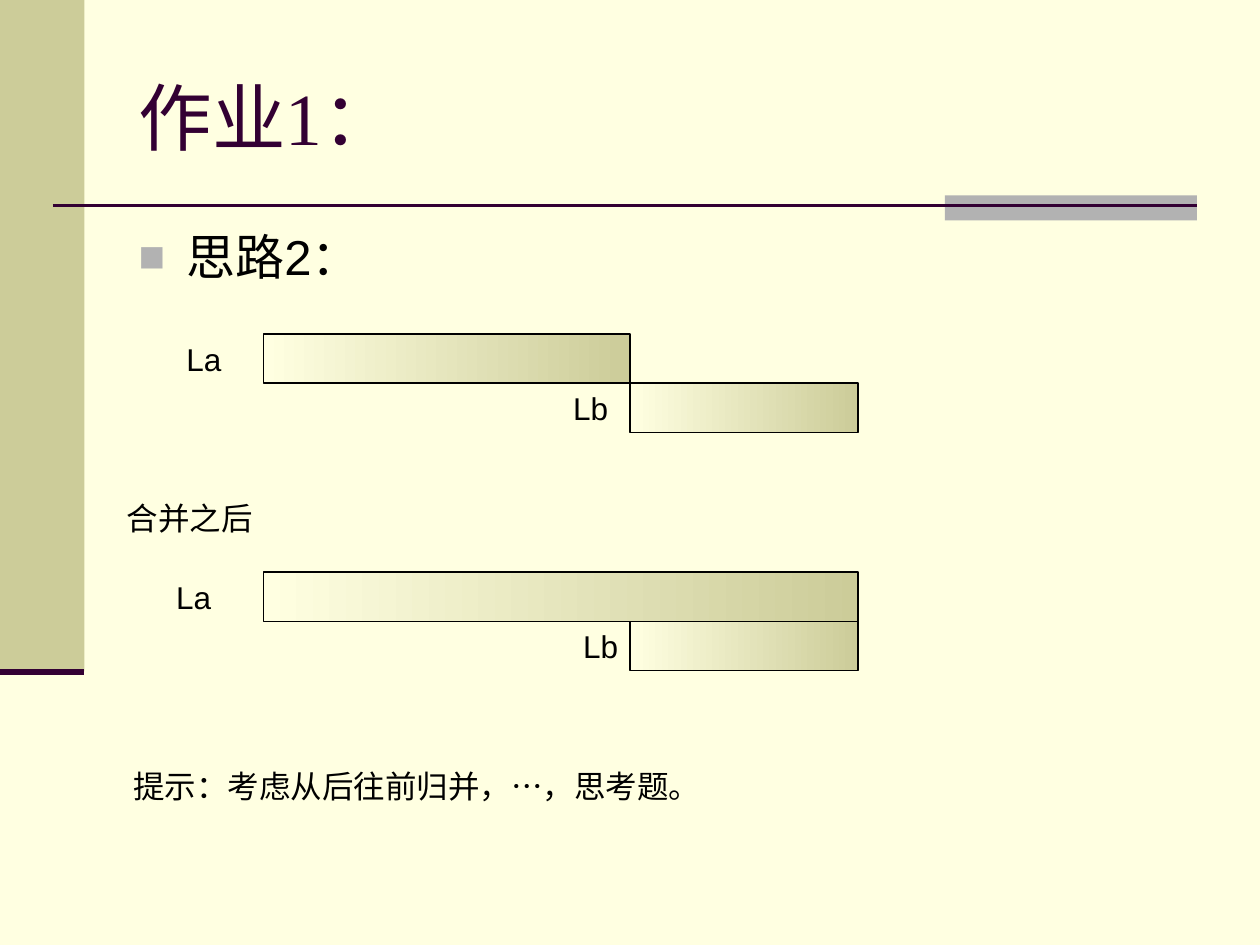
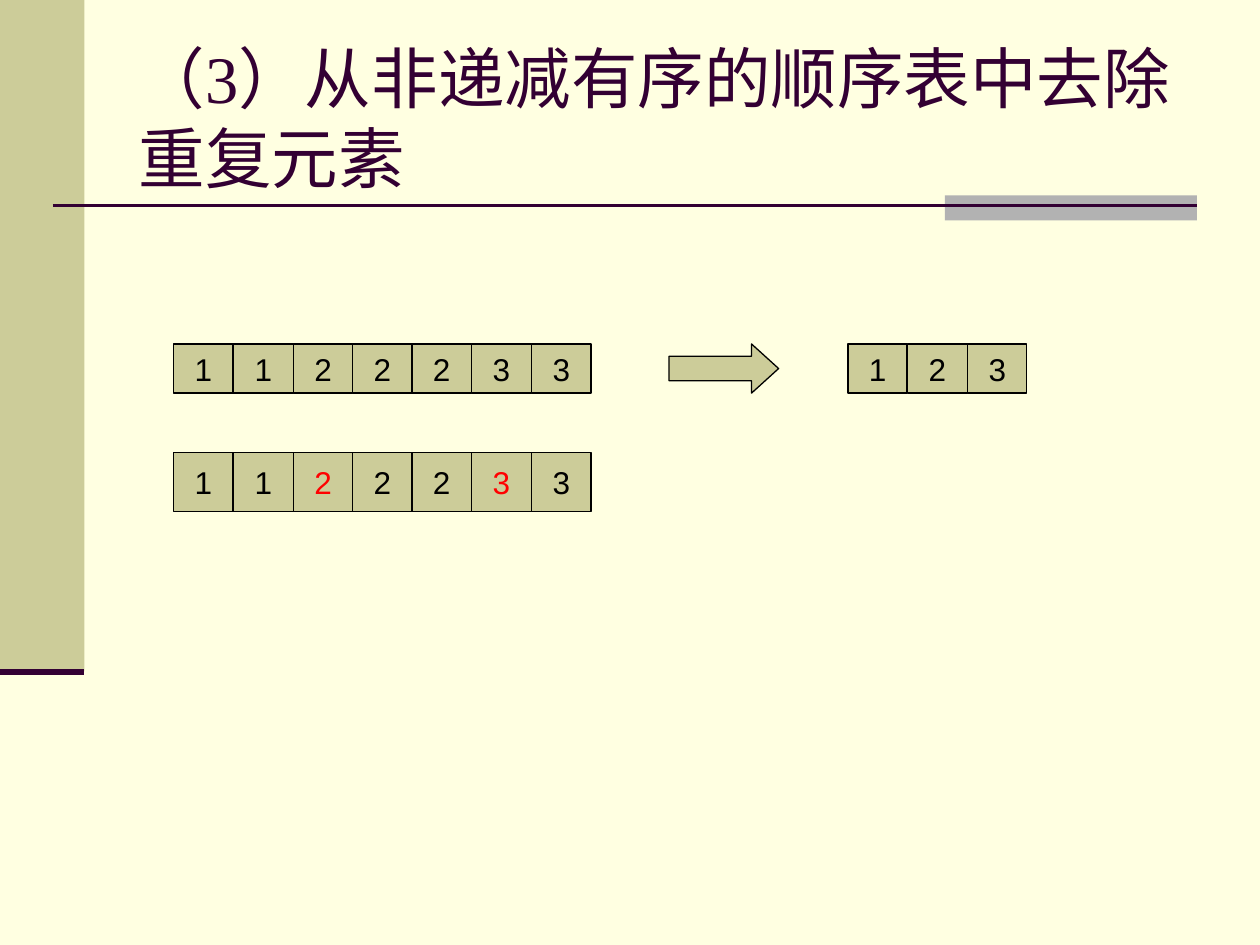
"""Build two slides on merging and de-duplicating ordered sequential lists."""
import dataclasses
import typing

import lxml.etree
import pptx
import pptx.dml.color
import pptx.enum.dml
import pptx.enum.shapes
import pptx.enum.text
import pptx.oxml
import pptx.oxml.ns
import pptx.util

RGBColor = pptx.dml.color.RGBColor
SHAPE = pptx.enum.shapes.MSO_SHAPE
ALIGN = pptx.enum.text.PP_ALIGN
ANCHOR = pptx.enum.text.MSO_ANCHOR
AUTO_SIZE = pptx.enum.text.MSO_AUTO_SIZE

CREAM = RGBColor(0xFF, 0xFF, 0xE1)
OLIVE = RGBColor(0xCC, 0xCC, 0x99)
GREY = RGBColor(0xB2, 0xB2, 0xB2)
PLUM = RGBColor(0x33, 0x00, 0x33)
BLACK = RGBColor(0x00, 0x00, 0x00)
RED = RGBColor(0xFF, 0x00, 0x00)

EMU_PER_PX = 9144
TITLE_FONT = "Times New Roman"
BODY_FONT = "Arial"
TEXT_SIZE = 18
BAR_HEIGHT = 39


@dataclasses.dataclass(frozen=True)
class Area:
    left: int
    top: int
    width: int
    height: int

    def emu(self) -> tuple[int, ...]:
        return tuple(px(length) for length in dataclasses.astuple(self))


@dataclasses.dataclass(frozen=True)
class Rule:
    left: int
    right: int
    top: int
    weight: float


@dataclasses.dataclass(frozen=True)
class Label:
    text: str
    area: Area


@dataclasses.dataclass(frozen=True)
class CellRow:
    values: str
    area: Area
    marked: tuple[int, ...] = ()


TITLE_AREA = Area(100, 30, 850, 125)
BODY_AREA = Area(100, 175, 850, 495)
BANDS = ((Area(0, 0, 67, 533), OLIVE), (Area(750, 155, 200, 20), GREY))
RULES = (Rule(42, 950, 163, 1.5), Rule(0, 67, 533, 3.5))

LIST_BARS = (
    Area(209, 265, 291, BAR_HEIGHT),
    Area(500, 304, 181, BAR_HEIGHT),
    Area(209, 454, 472, BAR_HEIGHT),
    Area(500, 493, 181, BAR_HEIGHT),
)
LABELS = (
    Label("La", Area(138, 265, 48, 40)),
    Label("Lb", Area(445, 304, 48, 40)),
    Label("La", Area(130, 454, 48, 40)),
    Label("Lb", Area(453, 493, 48, 40)),
    Label("合并之后", Area(91, 391, 120, 40)),
    Label("提示：考虑从后往前归并，…，思考题。", Area(96, 604, 470, 40)),
)
CELL_ROWS = (
    CellRow("1122233", Area(138, 273, 331, 39)),
    CellRow("123", Area(673, 273, 142, 39)),
    CellRow("1122233", Area(138, 359, 331, 47), marked=(2, 5)),
)
ARROW_AREA = Area(531, 273, 87, 39)


def px(length: float) -> int:
    return round(length * EMU_PER_PX)


def add_span(para: typing.Any, text: str, size: int,
             font: str = BODY_FONT, color: RGBColor = BLACK) -> None:
    span = para.add_run()
    span.text = text
    span.font.size = pptx.util.Pt(size)
    span.font.name = font
    span.font.color.rgb = color


def place(box: typing.Any, area: Area) -> None:
    box.left, box.top, box.width, box.height = area.emu()


def add_block(page: typing.Any, area: Area, color: RGBColor,
              outlined: bool = True, kind: SHAPE = SHAPE.RECTANGLE) -> typing.Any:
    block = page.shapes.add_shape(kind, *area.emu())
    block.shadow.inherit = False
    block.fill.solid()
    block.fill.fore_color.rgb = color
    if outlined:
        block.line.color.rgb = BLACK
        block.line.width = pptx.util.Pt(0.75)
    else:
        block.line.fill.background()
    return block


def add_rule(page: typing.Any, rule: Rule) -> None:
    line = page.shapes.add_connector(
        pptx.enum.shapes.MSO_CONNECTOR.STRAIGHT,
        px(rule.left), px(rule.top), px(rule.right), px(rule.top))
    line.line.color.rgb = PLUM
    line.line.width = pptx.util.Pt(rule.weight)
    lxml.etree.SubElement(line._element.spPr, pptx.oxml.ns.qn("a:effectLst"))


def add_page(deck: typing.Any, layout: int, title: str, size: int) -> typing.Any:
    page = deck.slides.add_slide(deck.slide_layouts[layout])
    for area, color in BANDS:
        add_block(page, area, color, outlined=False)
    for rule in RULES:
        add_rule(page, rule)
    box = page.shapes.title
    place(box, TITLE_AREA)
    frame = box.text_frame
    frame.auto_size = AUTO_SIZE.NONE
    frame.vertical_anchor = ANCHOR.MIDDLE
    para = frame.paragraphs[0]
    para.alignment = ALIGN.LEFT
    add_span(para, title, size, TITLE_FONT, PLUM)
    return page


def add_square_bullet(para: typing.Any) -> None:
    properties = para._p.get_or_add_pPr()
    properties.set("marL", str(px(38)))
    properties.set("indent", str(px(-38)))
    color = lxml.etree.SubElement(properties, pptx.oxml.ns.qn("a:buClr"))
    lxml.etree.SubElement(color, pptx.oxml.ns.qn("a:srgbClr"), val=str(GREY))
    for tag, name, value in (("a:buSzPct", "val", "90000"),
                             ("a:buFont", "typeface", BODY_FONT),
                             ("a:buChar", "char", "■")):
        lxml.etree.SubElement(properties, pptx.oxml.ns.qn(tag)).set(name, value)


def add_idea(page: typing.Any, text: str) -> None:
    box = page.placeholders[1]
    place(box, BODY_AREA)
    box.text_frame.auto_size = AUTO_SIZE.NONE
    para = box.text_frame.paragraphs[0]
    para.space_before = pptx.util.Pt(7)
    add_square_bullet(para)
    add_span(para, text, 28)


def add_list_bar(page: typing.Any, area: Area) -> None:
    bar = add_block(page, area, OLIVE)
    bar.fill.gradient()
    bar.fill.gradient_angle = 180
    for stop, color in zip(bar.fill.gradient_stops, (OLIVE, CREAM)):
        stop.color.rgb = color


def add_label(page: typing.Any, label: Label) -> None:
    box = page.shapes.add_textbox(*label.area.emu())
    box.text_frame.word_wrap = False
    box.text_frame.auto_size = AUTO_SIZE.SHAPE_TO_FIT_TEXT
    add_span(box.text_frame.paragraphs[0], label.text, TEXT_SIZE)


def add_cell_row(page: typing.Any, row: CellRow) -> None:
    area, count = row.area, len(row.values)
    edges = [area.left + round(area.width * step / count) for step in range(count + 1)]
    for index, value in enumerate(row.values):
        left, right = edges[index:index + 2]
        cell = add_block(page, Area(left, area.top, right - left, area.height), OLIVE)
        frame = cell.text_frame
        frame.word_wrap = False
        frame.vertical_anchor = ANCHOR.MIDDLE
        para = frame.paragraphs[0]
        para.alignment = ALIGN.CENTER
        add_span(para, value, TEXT_SIZE, color=RED if index in row.marked else BLACK)


def build_merge_page(deck: typing.Any) -> None:
    page = add_page(deck, 1, "作业1：", 42)
    add_idea(page, "思路2：")
    for area in LIST_BARS:
        add_list_bar(page, area)
    for label in LABELS:
        add_label(page, label)


def build_duplicates_page(deck: typing.Any) -> None:
    page = add_page(deck, 5, "（3）从非递减有序的顺序表中去除重复元素", 38)
    for row in CELL_ROWS:
        add_cell_row(page, row)
    arrow = add_block(page, ARROW_AREA, OLIVE, kind=SHAPE.RIGHT_ARROW)
    arrow.adjustments[0] = 0.5
    arrow.adjustments[1] = 0.55


def main() -> None:
    deck = pptx.Presentation()
    deck.slide_width, deck.slide_height = px(1000), px(750)
    background = deck.slide_master.background.fill
    background.solid()
    background.fore_color.rgb = CREAM
    build_merge_page(deck)
    build_duplicates_page(deck)
    deck.save("out.pptx")


if __name__ == "__main__":
    main()
